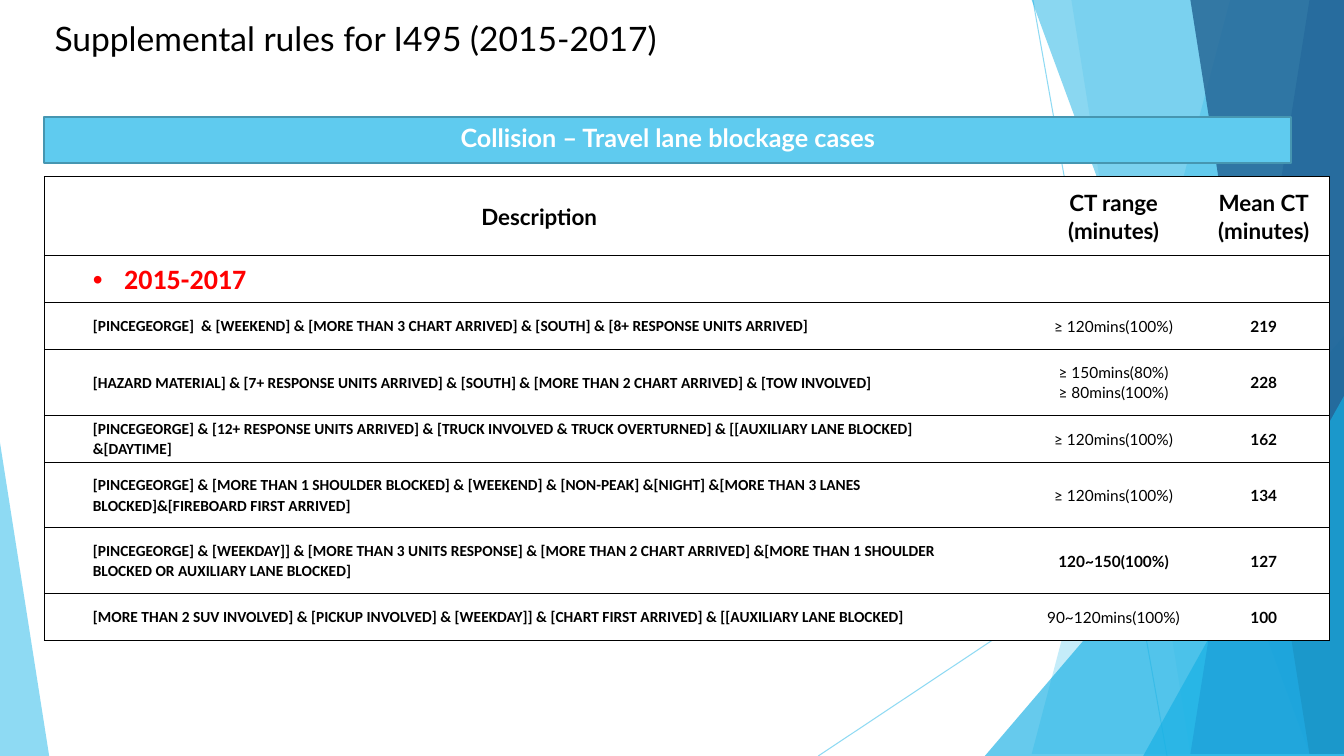
from dataclasses import dataclass

from lxml import etree
from pptx import Presentation
from pptx.dml.color import RGBColor
from pptx.enum.shapes import MSO_CONNECTOR, MSO_SHAPE
from pptx.enum.text import MSO_ANCHOR, PP_ALIGN
from pptx.oxml.ns import qn
from pptx.util import Cm, Pt

TITLE_ONLY = 5
STRAIGHT = MSO_CONNECTOR.STRAIGHT
RECTANGLE, TRIANGLE = MSO_SHAPE.RECTANGLE, MSO_SHAPE.ISOSCELES_TRIANGLE
MIDDLE = MSO_ANCHOR.MIDDLE
LEFT, CENTER = PP_ALIGN.LEFT, PP_ALIGN.CENTER

WIDTH, HEIGHT = 33.87, 19.05
BLACK, WHITE, RED = "000000", "FFFFFF", "FF0000"
SKY, AZURE, BLUE, NAVY = "5FCBEF", "17B0E4", "2E83C3", "226292"


@dataclass
class Ray:
    x1: float
    y1: float
    x2: float
    y2: float


@dataclass
class Panel:
    """A facet whose slanted left edge reaches to the slide's right edge."""
    top_x: float
    bottom_x: float
    colour: str
    opacity: int


@dataclass
class Wedge:
    """A triangle standing on the slide's bottom edge; apex 0 left, 1 right."""
    left: float
    top: float
    width: float
    apex: int
    colour: str
    opacity: int


@dataclass
class Rule:
    height: float
    description: str
    ct_range: str
    mean_ct: str
    range_bold: bool = False


@dataclass
class Style:
    size: int
    font: str = "Lato"
    colour: str = BLACK
    bold: bool = True
    align: PP_ALIGN = CENTER
    spacing: float = 1.07


RAYS = [Ray(26.03, 0, 29.41, HEIGHT), Ray(WIDTH, 10.24, 20.62, HEIGHT)]
FACETS = [
    Panel(31.19, 25.5, SKY, 36),
    Panel(26.67, 30.05, SKY, 20),
    Wedge(24.82, 8.46, 9.05, 1, AZURE, 66),
    Panel(25.93, 32.79, AZURE, 50),
    Panel(33.1, 30.28, BLUE, 70),
    Panel(30.38, 33.48, NAVY, 80),
    Wedge(28.81, 9.98, 5.06, 1, AZURE, 66),
    Wedge(0, 11.15, 1.24, 0, SKY, 70),
]

COLUMN_WIDTHS = [1.04, 22.86, 0.91, 4.27, 3.3]
DESCRIPTION, CT_RANGE, MEAN_CT = 1, 3, 4
HEADER_HEIGHT, PERIOD_HEIGHT = 1.98, 1.19
RULES = [
    Rule(1.19, "[PINCEGEORGE]  & [WEEKEND] & [MORE THAN 3 CHART ARRIVED] & [SOUTH] & "
         "[8+ RESPONSE UNITS ARRIVED]", "≥ 120mins(100%)", "219"),
    Rule(1.65, "[HAZARD MATERIAL] & [7+ RESPONSE UNITS ARRIVED] & [SOUTH] & "
         "[MORE THAN 2 CHART ARRIVED] & [TOW INVOLVED]",
         "≥ 150mins(80%)\n≥ 80mins(100%)", "228"),
    Rule(1.19, "[PINCEGEORGE] & [12+ RESPONSE UNITS ARRIVED] & [TRUCK INVOLVED & "
         "TRUCK OVERTURNED] & [[AUXILIARY LANE BLOCKED] &[DAYTIME]",
         "≥ 120mins(100%)", "162"),
    Rule(1.65, "[PINCEGEORGE] & [MORE THAN 1 SHOULDER BLOCKED] & [WEEKEND] & [NON-PEAK] "
         "&[NIGHT] &[MORE THAN 3 LANES BLOCKED]&[FIREBOARD FIRST ARRIVED]",
         "≥ 120mins(100%)", "134"),
    Rule(1.65, "[PINCEGEORGE] & [WEEKDAY]] & [MORE THAN 3 UNITS RESPONSE] & [MORE THAN 2 "
         "CHART ARRIVED] &[MORE THAN 1 SHOULDER BLOCKED OR AUXILIARY LANE BLOCKED]",
         "120~150(100%)", "127", range_bold=True),
    Rule(1.19, "[MORE THAN 2 SUV INVOLVED] & [PICKUP INVOLVED] & [WEEKDAY]] & "
         "[CHART FIRST ARRIVED] & [[AUXILIARY LANE BLOCKED]", "90~120mins(100%)", "100"),
]


def paint(fill, colour: str, opacity: int = 100) -> None:
    fill.solid()
    fill.fore_color.rgb = RGBColor.from_string(colour)
    if opacity < 100:
        for rgb in fill._xPr.iter(qn("a:srgbClr")):
            etree.SubElement(rgb, qn("a:alpha"), val=str(opacity * 1000))


def write(frame, text: str, style: Style) -> None:
    frame.text = text
    for paragraph in frame.paragraphs:
        paragraph.alignment = style.align
        paragraph.line_spacing = style.spacing
        for run in paragraph.runs:
            run.font.size = Pt(style.size)
            run.font.name = style.font
            run.font.bold = style.bold
            paint(run.font.fill, style.colour)


def draw_ray(shapes, ray: Ray) -> None:
    line = shapes.add_connector(STRAIGHT, Cm(ray.x1), Cm(ray.y1), Cm(ray.x2), Cm(ray.y2))
    line.line.width = Pt(0.75)
    paint(line.line.fill, SKY, 70)
    etree.SubElement(line._element.spPr, qn("a:effectLst"))


def draw_facet(shapes, facet: Panel | Wedge) -> None:
    if isinstance(facet, Panel):
        outline = shapes.build_freeform(facet.top_x, 0, scale=Cm(1))
        outline.add_line_segments([(WIDTH, 0), (WIDTH, HEIGHT), (facet.bottom_x, HEIGHT)])
        shape = outline.convert_to_shape()
    else:
        shape = shapes.add_shape(TRIANGLE, Cm(facet.left), Cm(facet.top),
                                 Cm(facet.width), Cm(HEIGHT - facet.top))
        shape.adjustments[0] = facet.apex
    shape.shadow.inherit = False
    shape.line.fill.background()
    paint(shape.fill, facet.colour, facet.opacity)


def format_cell(cell, column: int) -> None:
    """Rule above and below every cell, sides only at the table's outer edges."""
    cell.vertical_anchor = MIDDLE
    cell.margin_left = cell.margin_right = Cm(0.18)
    cell.margin_top = cell.margin_bottom = 0
    properties = cell._tc.get_or_add_tcPr()
    visible = {"L": column == 0, "R": column == MEAN_CT, "T": True, "B": True}
    for side, shown in visible.items():
        border = etree.SubElement(properties, qn(f"a:ln{side}"), w=str(Pt(1)))
        if shown:
            solid = etree.SubElement(border, qn("a:solidFill"))
            etree.SubElement(solid, qn("a:srgbClr"), val=BLACK)
        else:
            etree.SubElement(border, qn("a:noFill"))
    paint(cell.fill, WHITE)


def add_bullet(paragraph) -> None:
    properties = paragraph._p.get_or_add_pPr()
    properties.set("marL", str(Cm(0.79)))
    properties.set("indent", str(-Cm(0.79)))
    etree.SubElement(properties, qn("a:buFont"), typeface="Arial")
    etree.SubElement(properties, qn("a:buChar"), char="•")


def draw_rules_table(shapes) -> None:
    heights = [HEADER_HEIGHT, PERIOD_HEIGHT] + [rule.height for rule in RULES]
    table = shapes.add_table(len(heights), len(COLUMN_WIDTHS), Cm(1.12), Cm(4.45),
                             Cm(sum(COLUMN_WIDTHS)), Cm(sum(heights))).table
    table.first_row = table.horz_banding = False
    for column, width in zip(table.columns, COLUMN_WIDTHS):
        column.width = Cm(width)
    for row, height in zip(table.rows, heights):
        row.height = Cm(height)
        for index, cell in enumerate(row.cells):
            format_cell(cell, index)

    heading = Style(16)
    write(table.cell(0, DESCRIPTION).text_frame, "Description", heading)
    write(table.cell(0, CT_RANGE).text_frame, "CT range\v(minutes)", heading)
    write(table.cell(0, MEAN_CT).text_frame, "Mean CT\n(minutes)", heading)
    period = table.cell(1, DESCRIPTION).text_frame
    write(period, "2015-2017", Style(20, "Calibri", RED, align=LEFT))
    add_bullet(period.paragraphs[0])
    for row, rule in enumerate(RULES, start=2):
        write(table.cell(row, DESCRIPTION).text_frame, rule.description,
              Style(11, "Calibri", align=LEFT))
        write(table.cell(row, CT_RANGE).text_frame, rule.ct_range,
              Style(11, bold=rule.range_bold))
        write(table.cell(row, MEAN_CT).text_frame, rule.mean_ct, Style(11))


def main() -> None:
    deck = Presentation()
    deck.slide_width, deck.slide_height = Cm(WIDTH), Cm(HEIGHT)
    slide = deck.slides.add_slide(deck.slide_layouts[TITLE_ONLY])
    shapes = slide.shapes
    for ray in RAYS:
        draw_ray(shapes, ray)
    for facet in FACETS:
        draw_facet(shapes, facet)

    title = shapes.title
    title.left, title.top, title.width, title.height = Cm(1.12), Cm(0.33), Cm(20.65), Cm(1.27)
    title.text_frame.vertical_anchor = MIDDLE
    write(title.text_frame, "Supplemental rules for I495 (2015-2017)",
          Style(24, bold=False, align=LEFT, spacing=1.0))

    banner = shapes.add_shape(RECTANGLE, Cm(1.12), Cm(2.95), Cm(31.42), Cm(1.17))
    banner.shadow.inherit = False
    paint(banner.fill, SKY)
    paint(banner.line.fill, "4696B1")
    banner.line.width = Pt(1.5)
    banner.text_frame.vertical_anchor = MIDDLE
    banner.text_frame.margin_top = banner.text_frame.margin_bottom = 0
    write(banner.text_frame, "Collision – Travel lane blockage cases",
          Style(18, colour=WHITE, spacing=0.8))

    draw_rules_table(shapes)
    deck.save("out.pptx")


if __name__ == "__main__":
    main()
